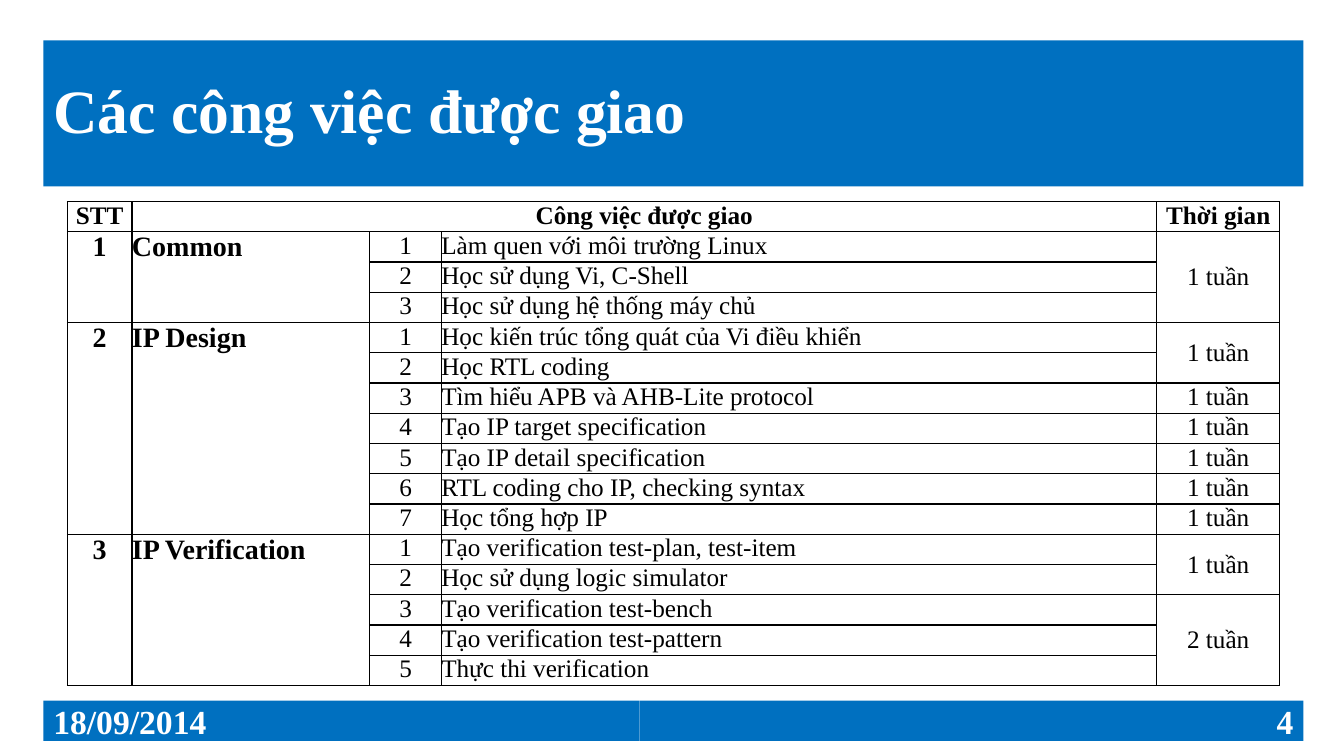
from dataclasses import dataclass

from lxml.etree import SubElement
from pptx import Presentation
from pptx.dml.color import RGBColor
from pptx.enum.text import MSO_ANCHOR, PP_ALIGN
from pptx.oxml.ns import qn
from pptx.slide import Slide
from pptx.table import Table, _Cell
from pptx.text.text import TextFrame
from pptx.util import Pt


@dataclass(frozen=True)
class Theme:
    font: str = "Times New Roman"
    blue: str = "0070C0"
    white: str = "FFFFFF"
    black: str = "000000"
    title: int = 44
    foot: int = 24
    group: int = 20
    body: int = 18


@dataclass(frozen=True)
class Term:
    """Tasks that share one duration."""
    time: str
    tasks: tuple[str, ...]


@dataclass(frozen=True)
class Job:
    name: str
    terms: tuple[Term, ...]


@dataclass(frozen=True)
class Bar:
    text: str
    left: float
    width: float
    align: PP_ALIGN


THEME = Theme()
LEFT, CENTER, RIGHT = PP_ALIGN.LEFT, PP_ALIGN.CENTER, PP_ALIGN.RIGHT
COLS = (46, 170, 51, 511, 88)
ROW = 21.6
WEEK = "1 tuần"

JOBS = (
    Job("Common", (
        Term(WEEK, ("Làm quen với môi trường Linux", "Học sử dụng Vi, C-Shell",
                    "Học sử dụng hệ thống máy chủ")),
    )),
    Job("IP Design", (
        Term(WEEK, ("Học kiến trúc tổng quát của Vi điều khiển",
                    "Học RTL coding")),
        Term(WEEK, ("Tìm hiểu APB và AHB-Lite protocol",)),
        Term(WEEK, ("Tạo IP target specification",)),
        Term(WEEK, ("Tạo IP detail specification",)),
        Term(WEEK, ("RTL coding cho IP, checking syntax",)),
        Term(WEEK, ("Học tổng hợp IP",)),
    )),
    Job("IP Verification", (
        Term(WEEK, ("Tạo verification test-plan, test-item",
                    "Học sử dụng logic simulator")),
        Term("2 tuần", ("Tạo verification test-bench",
                        "Tạo verification test-pattern",
                        "Thực thi verification")),
    )),
)

BARS = (
    Bar("18/09/2014", 31, 426, LEFT),
    Bar("4", 457, 474, RIGHT),
)


def write(frame: TextFrame, text: str, *, size: int = THEME.body,
          bold: bool = False, color: str = THEME.black,
          align: PP_ALIGN = LEFT, spacing: float = 1.0) -> None:
    para = frame.paragraphs[0]
    para.alignment = align
    para.line_spacing = spacing
    run = para.add_run()
    run.text = text
    font = run.font
    font.name, font.size, font.bold = THEME.font, Pt(size), bold
    font.color.rgb = RGBColor.from_string(color)


def frame_cell(cell: _Cell) -> None:
    """Remove the margins and draw a thin line on all four sides."""
    cell.margin_left = cell.margin_right = Pt(0)
    cell.margin_top = cell.margin_bottom = Pt(0)
    props = cell._tc.get_or_add_tcPr()
    for side in ("a:lnL", "a:lnR", "a:lnT", "a:lnB"):
        line = SubElement(props, qn(side), w=str(Pt(1)))
        fill = SubElement(line, qn("a:solidFill"))
        SubElement(fill, qn("a:srgbClr"), val=THEME.black)
    cell.fill.background()


def span(table: Table, row: int, col: int, count: int) -> _Cell:
    """Join count cells downwards and return the first."""
    cell = table.cell(row, col)
    if count > 1:
        cell.merge(table.cell(row + count - 1, col))
    return cell


def fill_job(table: Table, top: int, index: int, job: Job) -> int:
    """Write one job from row top and return the next free row."""
    count = sum(len(term.tasks) for term in job.terms)
    for col, text, align in ((0, str(index), CENTER), (1, job.name, LEFT)):
        write(span(table, top, col, count).text_frame, text,
              size=THEME.group, bold=True, align=align)
    row = top
    for term in job.terms:
        size = len(term.tasks)
        cell = span(table, row, 4, size)
        if size > 1:
            cell.vertical_anchor = MSO_ANCHOR.MIDDLE
        write(cell.text_frame, term.time, align=CENTER)
        for task in term.tasks:
            write(table.cell(row, 2).text_frame, str(row - top + 1),
                  align=CENTER)
            write(table.cell(row, 3).text_frame, task)
            row += 1
    return row


def add_jobs(slide: Slide) -> None:
    rows = 1 + sum(len(term.tasks) for job in JOBS for term in job.terms)
    table = slide.shapes.add_table(rows, len(COLS), Pt(48.24), Pt(144),
                                   Pt(sum(COLS)), Pt(ROW * rows)).table
    table.first_row = table.horz_banding = False
    for col, width in zip(table.columns, COLS):
        col.width = Pt(width)
    for row in table.rows:
        row.height = Pt(ROW)
    for cell in table.iter_cells():
        frame_cell(cell)
    table.cell(0, 1).merge(table.cell(0, 3))
    for col, text in ((0, "STT"), (1, "Công việc được giao"),
                      (4, "Thời gian")):
        write(table.cell(0, col).text_frame, text, bold=True, align=CENTER)
    top = 1
    for index, job in enumerate(JOBS, 1):
        top = fill_job(table, top, index, job)


def add_title(slide: Slide, text: str) -> None:
    title = slide.shapes.title
    title.left, title.top = Pt(31), Pt(28.8)
    title.width, title.height = Pt(900), Pt(104.4)
    title.fill.solid()
    title.fill.fore_color.rgb = RGBColor.from_string(THEME.blue)
    title.text_frame.vertical_anchor = MSO_ANCHOR.MIDDLE
    write(title.text_frame, text, size=THEME.title, bold=True,
          color=THEME.white, spacing=0.9)


def add_bar(slide: Slide, bar: Bar) -> None:
    shape = slide.shapes.add_shape(1, Pt(bar.left), Pt(500.4),
                                   Pt(bar.width), Pt(28.8))
    shape.shadow.inherit = False
    shape.fill.solid()
    shape.fill.fore_color.rgb = RGBColor.from_string(THEME.blue)
    shape.line.fill.background()
    shape.text_frame.vertical_anchor = MSO_ANCHOR.MIDDLE
    write(shape.text_frame, bar.text, size=THEME.foot, bold=True,
          color=THEME.white, align=bar.align)


def main() -> None:
    deck = Presentation()
    deck.slide_width, deck.slide_height = Pt(960), Pt(540)
    slide = deck.slides.add_slide(deck.slide_layouts[5])
    add_title(slide, "Các công việc được giao")
    add_jobs(slide)
    for bar in BARS:
        add_bar(slide, bar)
    deck.save("out.pptx")


if __name__ == "__main__":
    main()
